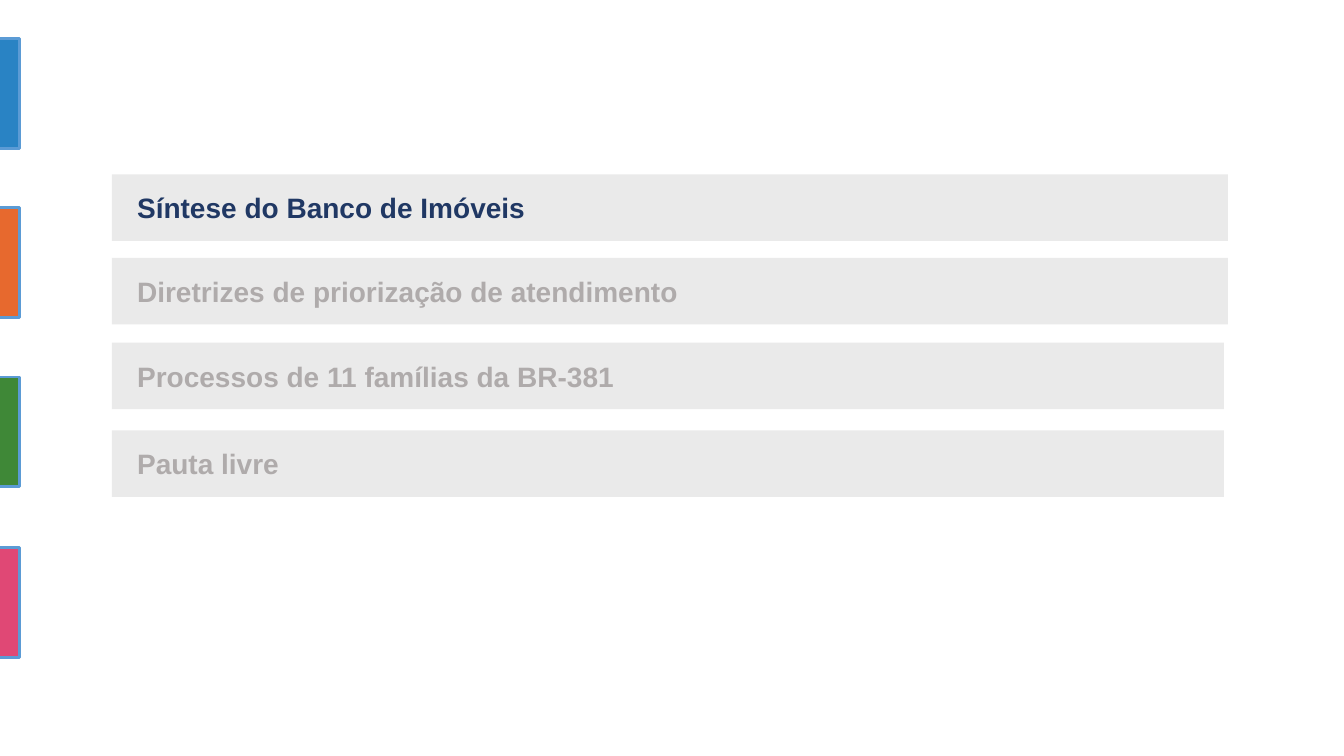
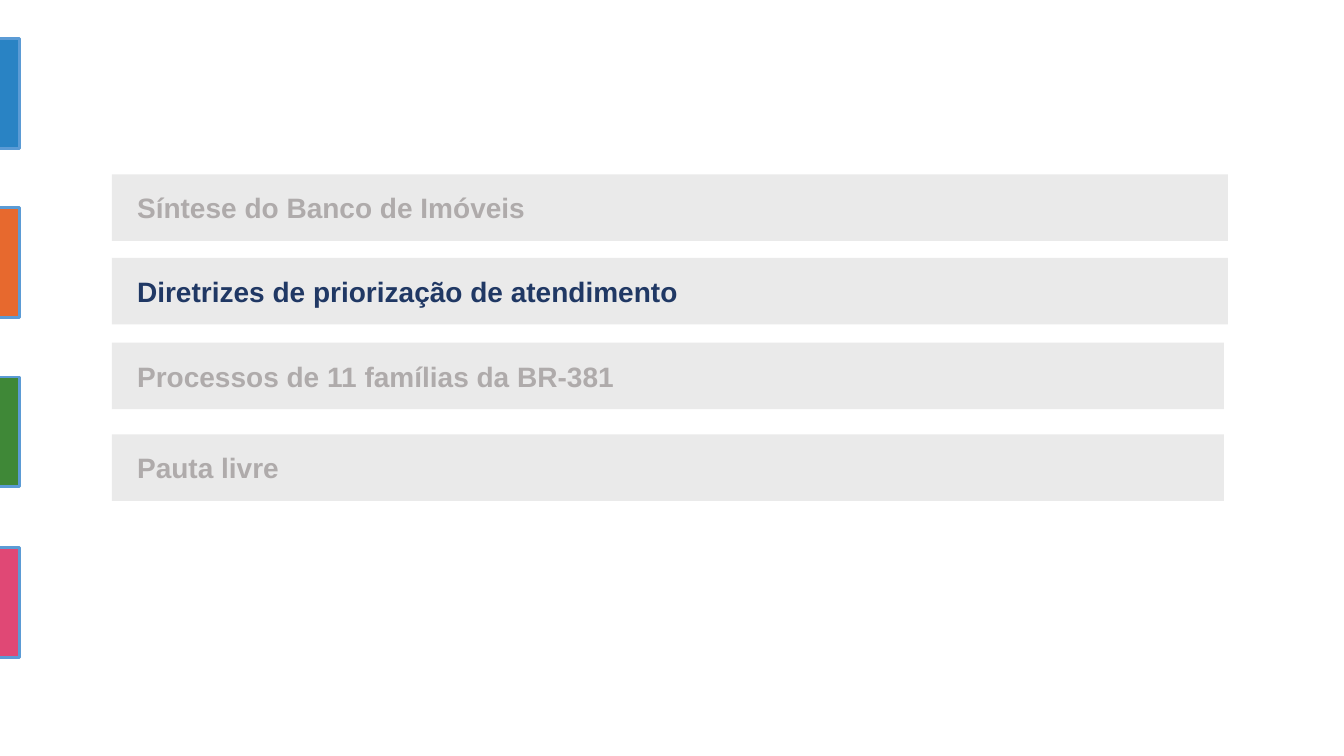
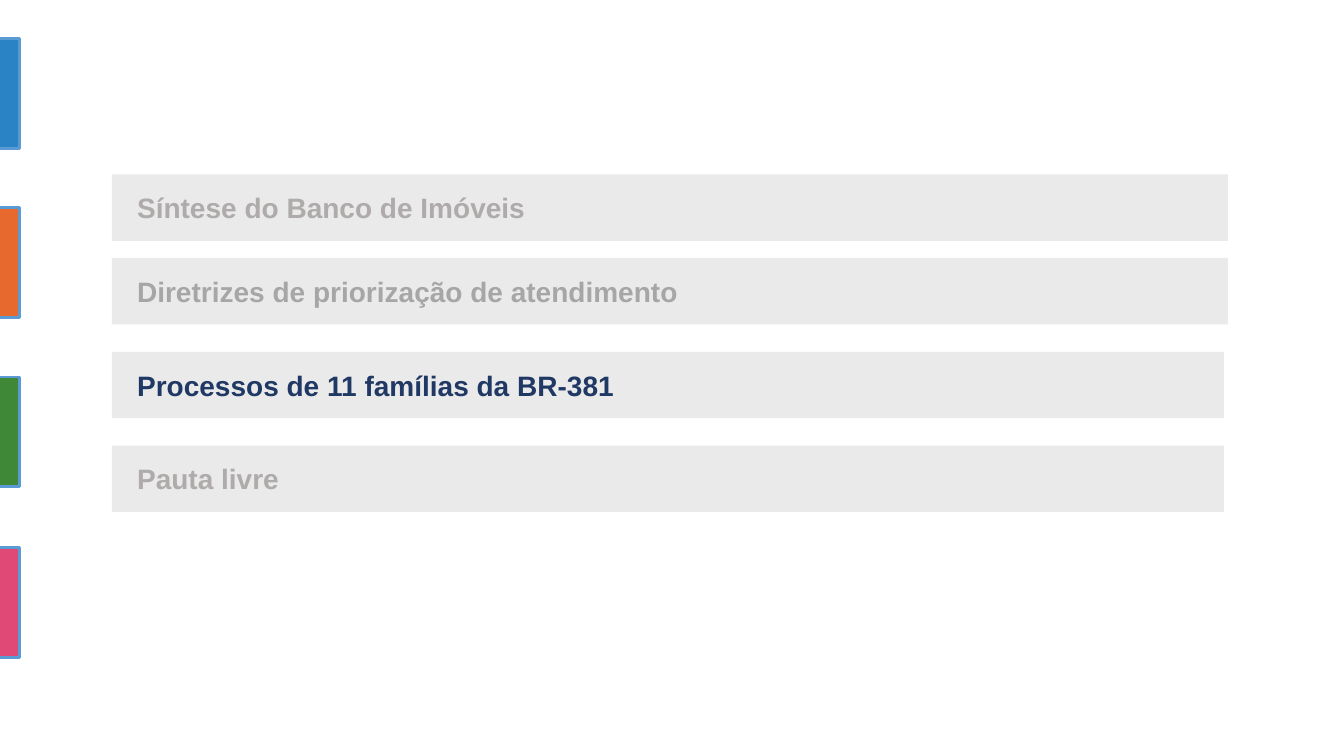
from pptx import Presentation
from pptx.dml.color import RGBColor
from pptx.enum.shapes import MSO_SHAPE
from pptx.enum.text import MSO_ANCHOR, PP_ALIGN
from pptx.util import Emu, Pt

PX = 9144  # 100 px to the inch
SLIDE_WIDTH, SLIDE_HEIGHT = 1333, 750

NAVY = RGBColor(0x20, 0x38, 0x64)
MUTED = RGBColor(0xAF, 0xAB, 0xAB)
MUTED_DARK = RGBColor(0xA6, 0xA6, 0xA6)
BAR_GRAY = RGBColor(0xEA, 0xEA, 0xEA)
TAB_OUTLINE = RGBColor(0x5B, 0x9B, 0xD5)
TAB_COLORS = (
    RGBColor(0x29, 0x83, 0xC4),
    RGBColor(0xE7, 0x69, 0x2E),
    RGBColor(0x3F, 0x88, 0x37),
    RGBColor(0xE0, 0x48, 0x75),
)

# Agenda topics with the width of their bars
TOPICS = (
    ("Síntese do Banco de Imóveis", 1107),
    ("Diretrizes de priorização de atendimento", 1107),
    ("Processos de 11 famílias da BR-381", 1103),
    ("Pauta livre", 1103),
)
# One agenda slide each: current topic, bar tops, text colours of other topics
AGENDAS = (
    {"current": 0, "tops": (173, 256, 340, 427), "muted": {}},
    {"current": 1, "tops": (173, 256, 340, 431), "muted": {}},
    {"current": 2, "tops": (173, 256, 349, 442), "muted": {1: MUTED_DARK}},
)

BAR_LEFT, BAR_HEIGHT, BAR_INDENT = 111, 66, 25
TAB_LEFT, TAB_WIDTH, TAB_HEIGHT = -1, 20, 109
FIRST_TAB_TOP, LAST_TAB_TOP = 38, 543


def add_rectangle(slide, left, top, width, height, fill, outline=None):
    box = [Emu(length * PX) for length in (left, top, width, height)]
    shape = slide.shapes.add_shape(MSO_SHAPE.RECTANGLE, *box)
    shape.shadow.inherit = False
    shape.fill.solid()
    shape.fill.fore_color.rgb = fill
    if outline is None:
        shape.line.fill.background()
    else:
        shape.line.color.rgb = outline
        shape.line.width = Pt(2)
    return shape


def set_text(shape, text, *, color, size=20, bold=True, font="Arial", indent=0):
    frame = shape.text_frame
    frame.word_wrap = True
    frame.vertical_anchor = MSO_ANCHOR.MIDDLE
    frame.margin_left = Emu(indent * PX)
    paragraph = frame.paragraphs[0]
    paragraph.alignment = PP_ALIGN.LEFT
    paragraph.space_before = Pt(size * 0.2)
    run = paragraph.add_run()
    run.text = text
    run.font.name = font
    run.font.size = Pt(size)
    run.font.bold = bold
    run.font.color.rgb = color


def add_tabs_to_layout(slide):
    """Draw the side tabs on a slide, then move them to its layout for all slides."""
    layout_tree = slide.slide_layout.element.cSld.spTree
    span = LAST_TAB_TOP - FIRST_TAB_TOP
    for index, color in enumerate(TAB_COLORS):
        top = FIRST_TAB_TOP + span * index // (len(TAB_COLORS) - 1)
        tab = add_rectangle(slide, TAB_LEFT, top, TAB_WIDTH, TAB_HEIGHT, color, TAB_OUTLINE)
        layout_tree.append(tab.element)


def add_agenda(slide, current, tops, muted):
    for index, ((topic, width), top) in enumerate(zip(TOPICS, tops)):
        bar = add_rectangle(slide, BAR_LEFT, top, width, BAR_HEIGHT, BAR_GRAY)
        color = NAVY if index == current else muted.get(index, MUTED)
        set_text(bar, topic, color=color, indent=BAR_INDENT)


def main():
    presentation = Presentation()
    presentation.slide_width = Emu(SLIDE_WIDTH * PX)
    presentation.slide_height = Emu(SLIDE_HEIGHT * PX)
    blank = presentation.slide_layouts[6]
    slides = [presentation.slides.add_slide(blank) for _ in AGENDAS]
    add_tabs_to_layout(slides[0])
    for slide, agenda in zip(slides, AGENDAS):
        add_agenda(slide, **agenda)
    presentation.save("out.pptx")


if __name__ == "__main__":
    main()
